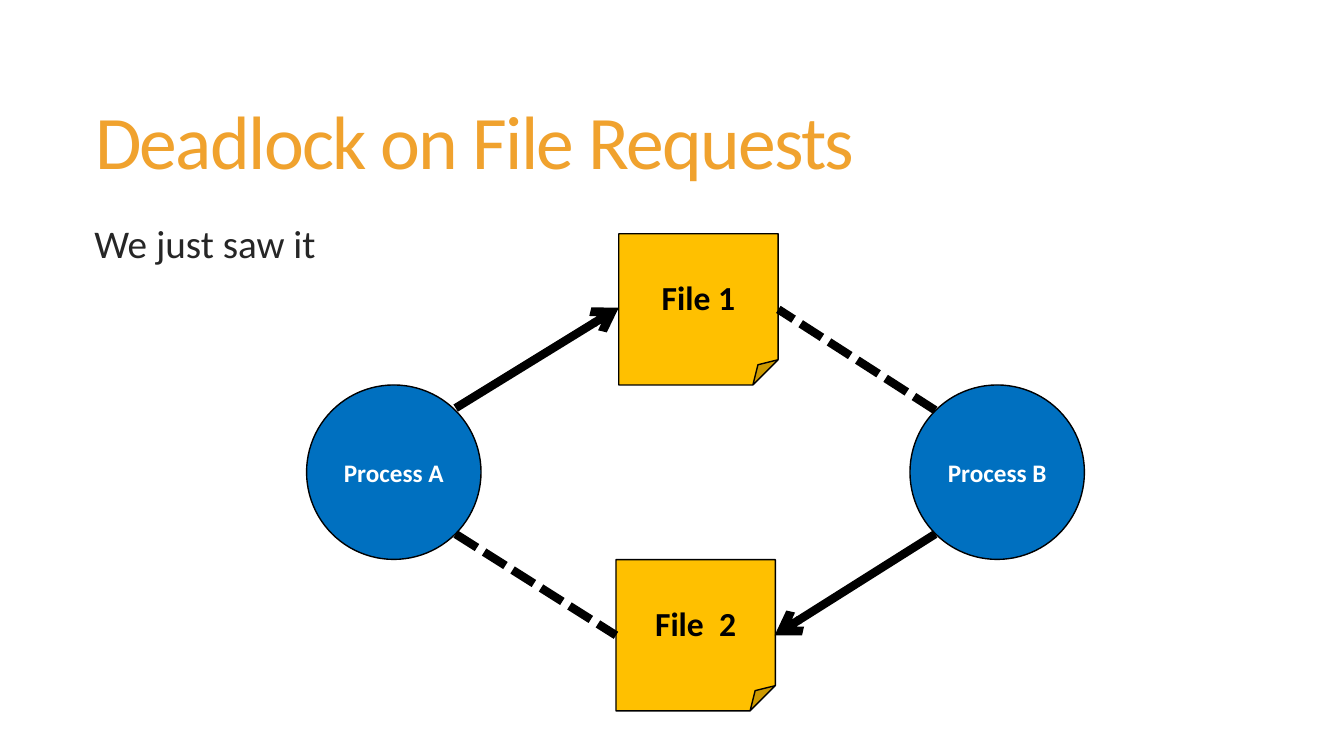
from lxml import etree
from pptx import Presentation
from pptx.dml.color import RGBColor
from pptx.enum.dml import MSO_LINE
from pptx.enum.shapes import MSO_CONNECTOR, MSO_SHAPE
from pptx.enum.text import MSO_ANCHOR, PP_ALIGN
from pptx.oxml.ns import qn
from pptx.util import Pt

STRAIGHT = MSO_CONNECTOR.STRAIGHT
OVAL = MSO_SHAPE.OVAL
NOTE = MSO_SHAPE.FOLDED_CORNER
DASH = MSO_LINE.SQUARE_DOT
MIDDLE, TOP = MSO_ANCHOR.MIDDLE, MSO_ANCHOR.TOP
CENTER = PP_ALIGN.CENTER

COLORS = {
    "title": "F0A22E",
    "body": "262626",
    "process": "0070C0",
    "file": "FFC000",
    "black": "000000",
    "white": "FFFFFF",
}


class Diagram:
    """Draws styled elements on one slide, with lengths in points."""

    font = "Calibri"

    def __init__(self, slide):
        self.shapes = slide.shapes

    def color(self, name):
        return RGBColor.from_string(COLORS[name])

    def style(self, p, size, color, bold=False):
        p.font.name = self.font
        p.font.size = Pt(size)
        p.font.bold = bold
        p.font.color.rgb = self.color(color)

    def text(self, box, text, size, color, anchor, left, spacing=0):
        sp = self.shapes.add_textbox(*map(Pt, box))
        tf = sp.text_frame
        tf.word_wrap = True
        tf.vertical_anchor = anchor
        tf.margin_left = Pt(left)
        p = tf.paragraphs[0]
        p.line_spacing = 0.85
        r = p.add_run()
        r.text = text
        self.style(p, size, color)
        if spacing:
            r.font._element.set("spc", str(spacing))

    def node(self, kind, box, label, fill, size, color):
        sp = self.shapes.add_shape(kind, *map(Pt, box))
        sp.shadow.inherit = False
        sp.fill.solid()
        sp.fill.fore_color.rgb = self.color(fill)
        sp.line.color.rgb = self.color("black")
        sp.line.width = Pt(1)
        tf = sp.text_frame
        tf.vertical_anchor = MIDDLE
        p = tf.paragraphs[0]
        p.text = label
        p.alignment = CENTER
        self.style(p, size, color, bold=True)

    def link(self, start, end, arrow):
        c = self.shapes.add_connector(STRAIGHT, *map(Pt, start + end))
        c.line.color.rgb = self.color("black")
        c.line.width = Pt(6)
        if arrow:
            ln = c.line._get_or_add_ln()
            etree.SubElement(ln, qn("a:tailEnd"), type="arrow")
        else:
            c.line.dash_style = DASH
        etree.SubElement(c._element.spPr, qn("a:effectLst"))


def main():
    prs = Presentation()
    prs.slide_width, prs.slide_height = Pt(960), Pt(540)
    d = Diagram(prs.slides.add_slide(prs.slide_layouts[6]))

    # Title and body
    d.text((52, 39.5, 848, 130.5), "Deadlock on File Requests", 54, "title",
           MIDDLE, 16, spacing=-120)
    d.text((53, 158.5, 847, 297), "We just saw it", 28, "body", TOP, 14.4)

    # Process B and the files
    process_size = (124.6, 124.6)
    d.node(OVAL, (650, 275) + process_size, "Process B", "process", 18, "white")
    for left, top, label in ((442, 167, "File 1"), (440, 399.8, "File  2")):
        d.node(NOTE, (left, top, 113.8, 108), label, "file", 24, "black")

    # Requests (arrows) and held files (dashes)
    for start, end, arrow in (
        ((668, 381.5), (553.3, 453.8), True),
        ((668, 293), (556, 221), False),
        ((325.5, 291.5), (442, 219.8), True),
        ((325.5, 381.5), (440, 453.8), False),
    ):
        d.link(start, end, arrow)

    # Process A
    d.node(OVAL, (219, 275) + process_size, "Process A", "process", 18, "white")

    prs.save("out.pptx")


if __name__ == "__main__":
    main()
